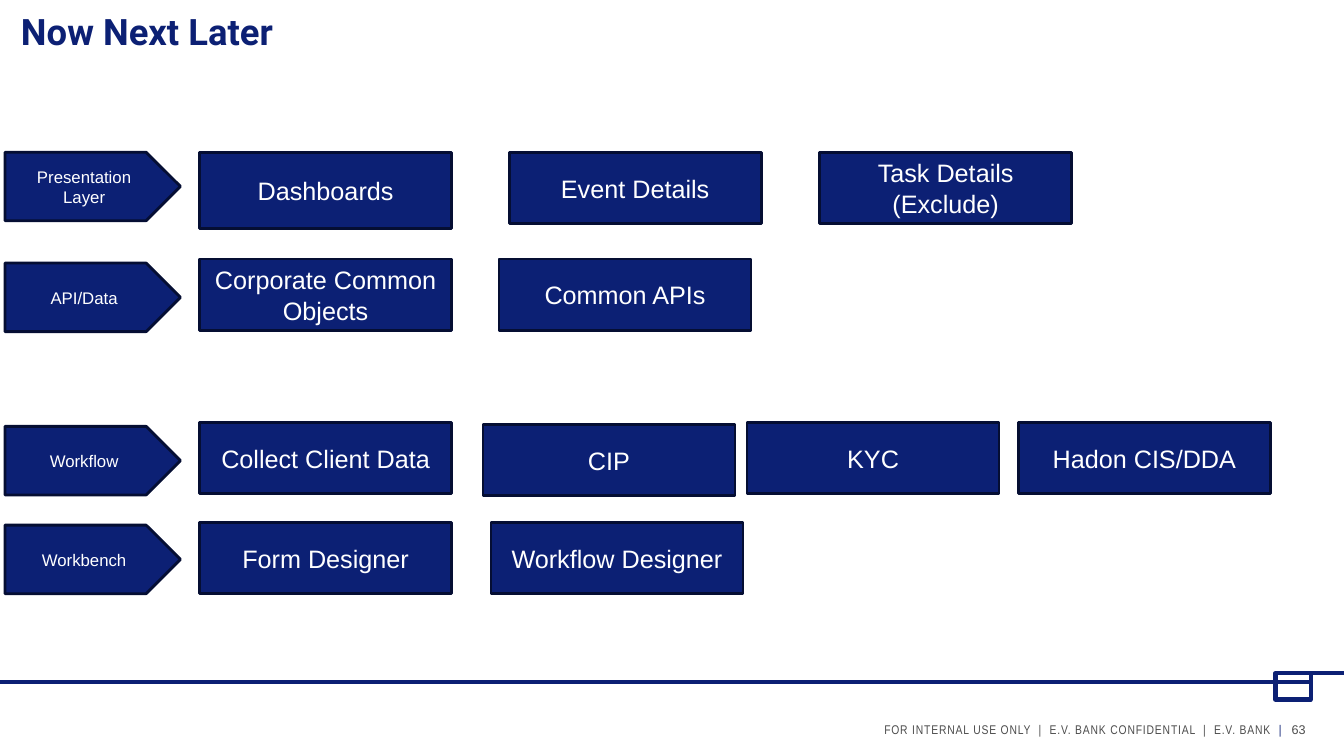
"""Build the Now Next Later slide: four layers of work as rows of boxes."""
from lxml import etree
from pptx import Presentation
from pptx.dml.color import RGBColor
from pptx.enum.shapes import MSO_CONNECTOR, MSO_SHAPE
from pptx.enum.text import MSO_ANCHOR, PP_ALIGN
from pptx.oxml.ns import qn
from pptx.util import Inches, Pt

STRAIGHT = MSO_CONNECTOR.STRAIGHT
RECTANGLE, ARROW = MSO_SHAPE.RECTANGLE, MSO_SHAPE.PENTAGON
TOP, MIDDLE, BOTTOM = MSO_ANCHOR.TOP, MSO_ANCHOR.MIDDLE, MSO_ANCHOR.BOTTOM
LEFT, CENTER, RIGHT = PP_ALIGN.LEFT, PP_ALIGN.CENTER, PP_ALIGN.RIGHT

NAVY, EDGE, GREY, WHITE = "0C2074", "050E33", "4D4D4D", "FFFFFF"
WIDTH, HEIGHT = 13.33, 7.5
ARROW_LEFT, ARROW_WIDTH, ARROW_HEIGHT = 0.05, 1.74, 0.68
BOX_WIDTH, BOX_HEIGHT = 2.5, 0.71
FIRST_COLUMN = 1.98
RULE_TOP, BADGE_LEFT, BADGE_TOP, BADGE_WIDTH = 6.77, 12.65, 6.68, 0.35

ROWS = [
    ("Presentation Layer", 1.51, 1.51,
     [("Dashboards", FIRST_COLUMN), ("Event Details", 5.05), ("Task Details (Exclude)", 8.13)]),
    ("API/Data", 2.61, 2.57,
     [("Corporate Common Objects", FIRST_COLUMN), ("Common APIs", 4.95)]),
    ("Workflow", 4.23, 4.19,
     [("Collect Client Data", FIRST_COLUMN), ("CIP", 4.79), ("KYC", 7.41), ("Hadon CIS/DDA", 10.1)]),
    ("Workbench", 5.21, 5.18,
     [("Form Designer", FIRST_COLUMN), ("Workflow Designer", 4.87)]),
]
EXTRA_HEIGHT = {"Dashboards": 0.05}
EXTRA_TOP = {"CIP": 0.02}


def color(hex_code):
    return RGBColor.from_string(hex_code)


def write(shape, runs, size, font_name, alignment, anchor):
    frame = shape.text_frame
    frame.word_wrap = True
    frame.vertical_anchor = anchor
    paragraph = frame.paragraphs[0]
    paragraph.alignment = alignment
    paragraph.font.size = Pt(size)
    paragraph.font.name = font_name
    if len(runs) == 1:
        paragraph.font.color.rgb = color(runs[0][1])
    for text, text_color in runs:
        run = paragraph.add_run()
        run.text = text
        if len(runs) > 1:
            run.font.color.rgb = color(text_color)
    return paragraph


presentation = Presentation()
presentation.slide_width, presentation.slide_height = Inches(WIDTH), Inches(HEIGHT)
slide = presentation.slides.add_slide(presentation.slide_layouts[6])
shapes = slide.shapes

footers = [
    (12.81, 0.52, LEFT, "Arial", [("63", GREY)]),
    (2.11, 10.6, RIGHT, "Arial Narrow",
     [("FOR INTERNAL USE ONLY  |  E.V. BANK CONFIDENTIAL  |  E.V. BANK ", GREY), (" |", NAVY)]),
]
for left, width, alignment, font_name, runs in footers:
    footer = shapes.add_textbox(Inches(left), Inches(7.11), Inches(width), Inches(0.2))
    frame = footer.text_frame
    frame.margin_left = frame.margin_right = frame.margin_top = frame.margin_bottom = 0
    paragraph = write(footer, runs, 9, font_name, alignment, BOTTOM)
    if alignment == RIGHT:
        for run in paragraph.runs:
            run._r.get_or_add_rPr().set("spc", "60")

badge_right = BADGE_LEFT + BADGE_WIDTH
for start, end, top in [(0, badge_right, RULE_TOP), (badge_right, WIDTH, BADGE_TOP)]:
    rule = shapes.add_connector(STRAIGHT, Inches(start), Inches(top), Inches(end), Inches(top))
    rule.line.color.rgb = color(NAVY)
    rule.line.width = Pt(3)
    etree.SubElement(rule._element.spPr, qn("a:effectLst"))

badge = shapes.add_shape(RECTANGLE, Inches(BADGE_LEFT), Inches(BADGE_TOP),
                         Inches(BADGE_WIDTH), Inches(0.26))
badge.shadow.inherit = False
badge.fill.background()
badge.line.color.rgb = color(NAVY)
badge.line.width = Pt(3)

for layer, arrow_top, box_top, boxes in ROWS:
    blocks = [(ARROW, layer, 12, ARROW_LEFT, arrow_top, ARROW_WIDTH, ARROW_HEIGHT)]
    for label, left in boxes:
        blocks.append((RECTANGLE, label, 18, left, box_top + EXTRA_TOP.get(label, 0),
                       BOX_WIDTH, BOX_HEIGHT + EXTRA_HEIGHT.get(label, 0)))
    for kind, label, size, *bounds in blocks:
        block = shapes.add_shape(kind, *[Inches(length) for length in bounds])
        block.shadow.inherit = False
        block.fill.solid()
        block.fill.fore_color.rgb = color(NAVY)
        block.line.color.rgb = color(EDGE)
        block.line.width = Pt(2)
        write(block, [(label, WHITE)], size, "Arial", CENTER, MIDDLE)

title = shapes.add_textbox(Inches(0.11), Inches(0.04), Inches(12), Inches(0.51))
write(title, [("Now Next Later", NAVY)], 26, "Roboto", LEFT, TOP).font.bold = True

presentation.save("out.pptx")
